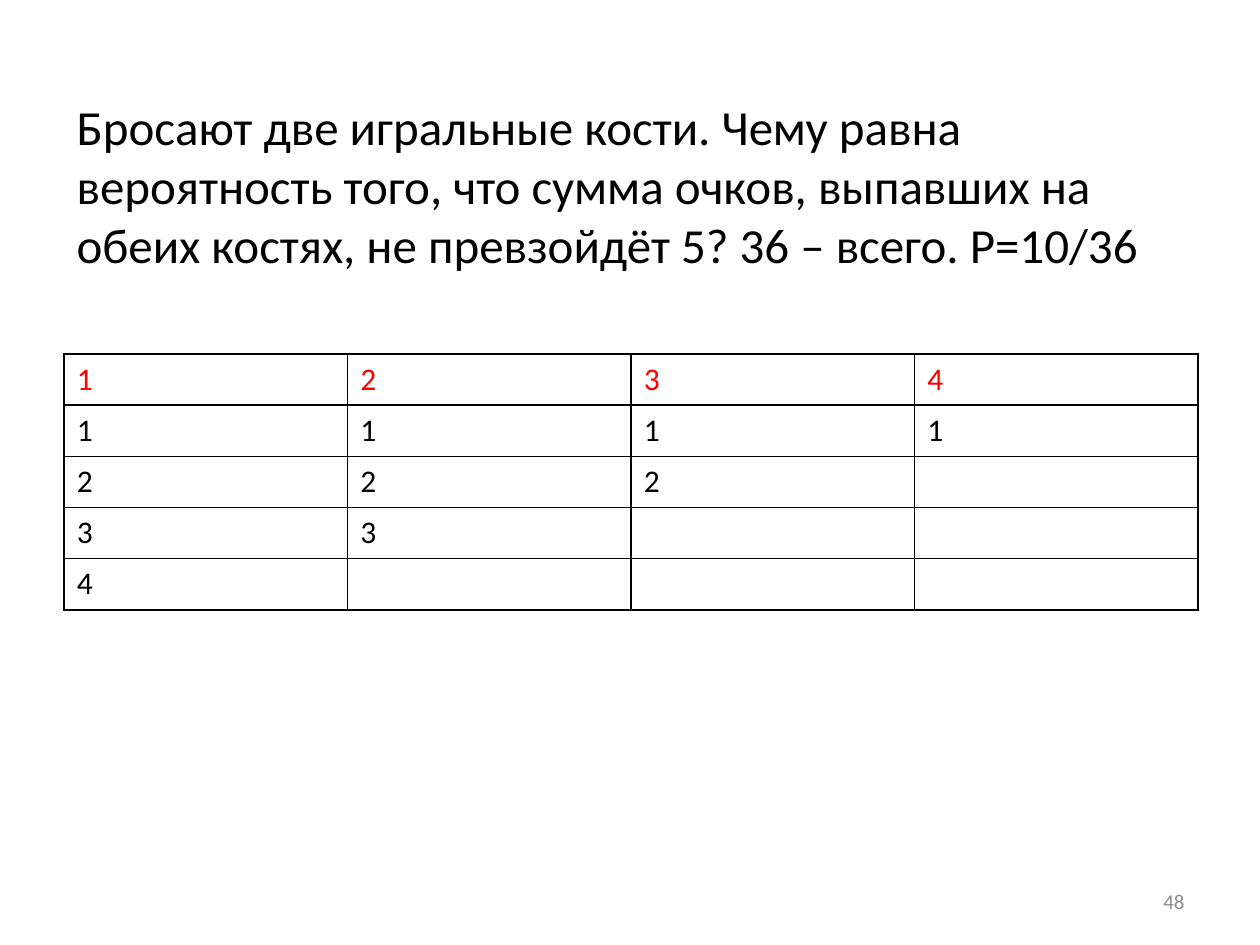
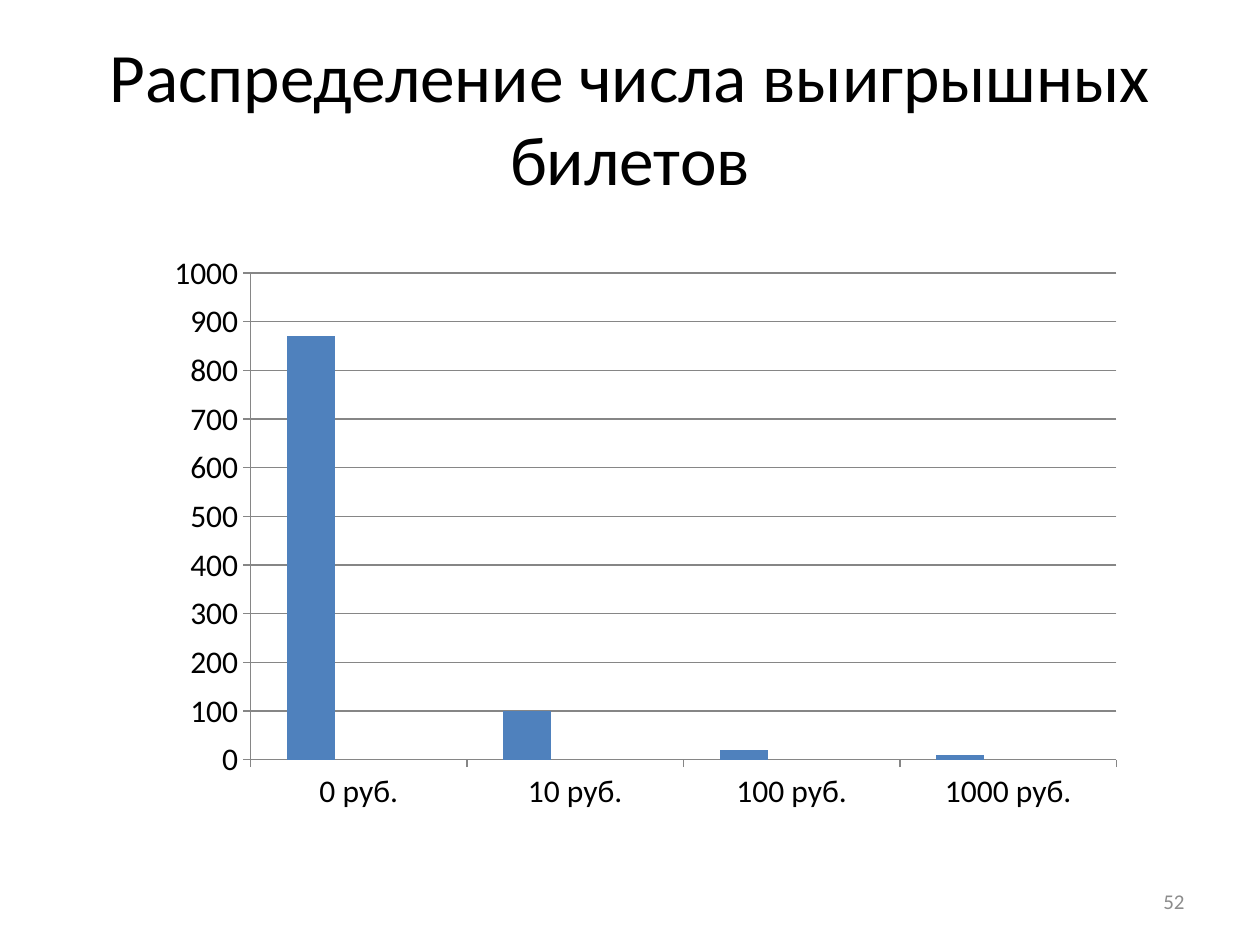
from lxml import etree
from pptx import Presentation
from pptx import util as u
from pptx.chart import data as chart_data
from pptx.dml.color import RGBColor
from pptx.enum import chart as ch, text
from pptx.oxml import parse_xml
from pptx.oxml.ns import nsdecls, qn

FONT = "Calibri"
COLORS = {"ink": "000000", "head": "FF0000", "number": "8C8C8C", "axis": "868686",
          "blue": "4F81BD", "red": "C0504D", "green": "9BBB59"}


def style(font, size, color):
    font.name = FONT
    font.size = u.Pt(size)
    font.color.rgb = RGBColor.from_string(COLORS[color])


def add_text(slide, wording, box, size, color="ink", align=text.PP_ALIGN.LEFT):
    frame = slide.shapes.add_textbox(*map(u.Inches, box)).text_frame
    frame.word_wrap = True
    frame.vertical_anchor = text.MSO_ANCHOR.MIDDLE
    paragraph = frame.paragraphs[0]
    paragraph.text = wording
    paragraph.alignment = align
    style(paragraph.font, size, color)


prs = Presentation()
prs.slide_width, prs.slide_height = u.Inches(10), u.Inches(7.5)

# Both slides carry a page number at the lower right
dice, lottery = [prs.slides.add_slide(prs.slide_layouts[6]) for _ in range(2)]

# Dice: the question
add_text(dice, "Бросают две игральные кости. Чему равна вероятность того, что сумма очков, "
         "выпавших на обеих костях, не превзойдёт 5? 36 – всего. P=10/36",
         (0.51, 0.84, 9, 1.25), 28)

# Dice: for each first throw, the second throws that keep the sum within 5
outcomes = dice.shapes.add_table(5, 4, u.Inches(0.51), u.Inches(2.81),
                                 u.Inches(9), u.Inches(2.03)).table
outcomes.first_row = outcomes.horz_banding = False
for row in range(5):
    for col in range(4):
        cell = outcomes.cell(row, col)
        first, second = col + 1, row
        if row == 0:
            cell.text = str(first)
        elif first + second <= 5:
            cell.text = str(second)
        style(cell.text_frame.paragraphs[0].font, 18, "ink" if row else "head")
        cell.fill.background()
        borders = cell._tc.get_or_add_tcPr()
        for place, side in enumerate(("lnL", "lnR", "lnT", "lnB")):
            borders.insert(place, parse_xml(
                f'<a:{side} {nsdecls("a")} w="12700"><a:solidFill>'
                f'<a:srgbClr val="{COLORS["ink"]}"/></a:solidFill></a:{side}>'))

# Lottery: title
add_text(lottery, "Распределение числа выигрышных билетов", (0.5, 0.3, 9, 1.25), 39.6,
         align=text.PP_ALIGN.CENTER)

# Lottery: tickets by prize
tickets = chart_data.CategoryChartData()
tickets.categories = ["0 руб.", "10 руб.", "100 руб.", "1000 руб."]
tickets.add_series("Series 1", (870, 100, 20, 10))
for name in ("Series 2", "Series 3"):
    tickets.add_series(name, (None,) * 4)
prizes = lottery.shapes.add_chart(ch.XL_CHART_TYPE.COLUMN_CLUSTERED, u.Inches(0.83), u.Inches(1.78),
                                  u.Inches(8.28), u.Inches(4.83), tickets).chart
prizes.has_legend = prizes.has_title = False
style(prizes.font, 18, "ink")
columns = prizes.plots[0]
columns.gap_width, columns.overlap = 150, 0
columns.vary_by_categories = False
for series, color in zip(columns.series, ("blue", "red", "green")):
    series.format.fill.solid()
    series.format.fill.fore_color.rgb = RGBColor.from_string(COLORS[color])

# Lottery: axes, gridlines and plot position
prizes.value_axis.has_major_gridlines = True
for axis in (prizes.category_axis, prizes.value_axis):
    axis.major_tick_mark = ch.XL_TICK_MARK.OUTSIDE
    axis.minor_tick_mark = ch.XL_TICK_MARK.NONE
for lined in (prizes.category_axis, prizes.value_axis, prizes.value_axis.major_gridlines):
    lined.format.line.width = u.Pt(0.75)
    lined.format.line.color.rgb = RGBColor.from_string(COLORS["axis"])
plot_area = prizes._chartSpace.chart.plotArea
for old in plot_area.findall(qn("c:layout")):
    plot_area.remove(old)
layout = parse_xml(f'<c:layout {nsdecls("c")}><c:manualLayout/></c:layout>')
for tag, value in (("layoutTarget", "inner"), ("xMode", "edge"), ("yMode", "edge"),
                   ("x", 0.14), ("y", 0.08), ("w", 0.83), ("h", 0.8)):
    etree.SubElement(layout[0], qn(f"c:{tag}")).set("val", str(value))
plot_area.insert(0, layout)

# Page numbers
for slide, number in ((dice, "48"), (lottery, "52")):
    add_text(slide, number, (7.17, 6.95, 2.33, 0.4), 12, "number", text.PP_ALIGN.RIGHT)

prs.save("out.pptx")
